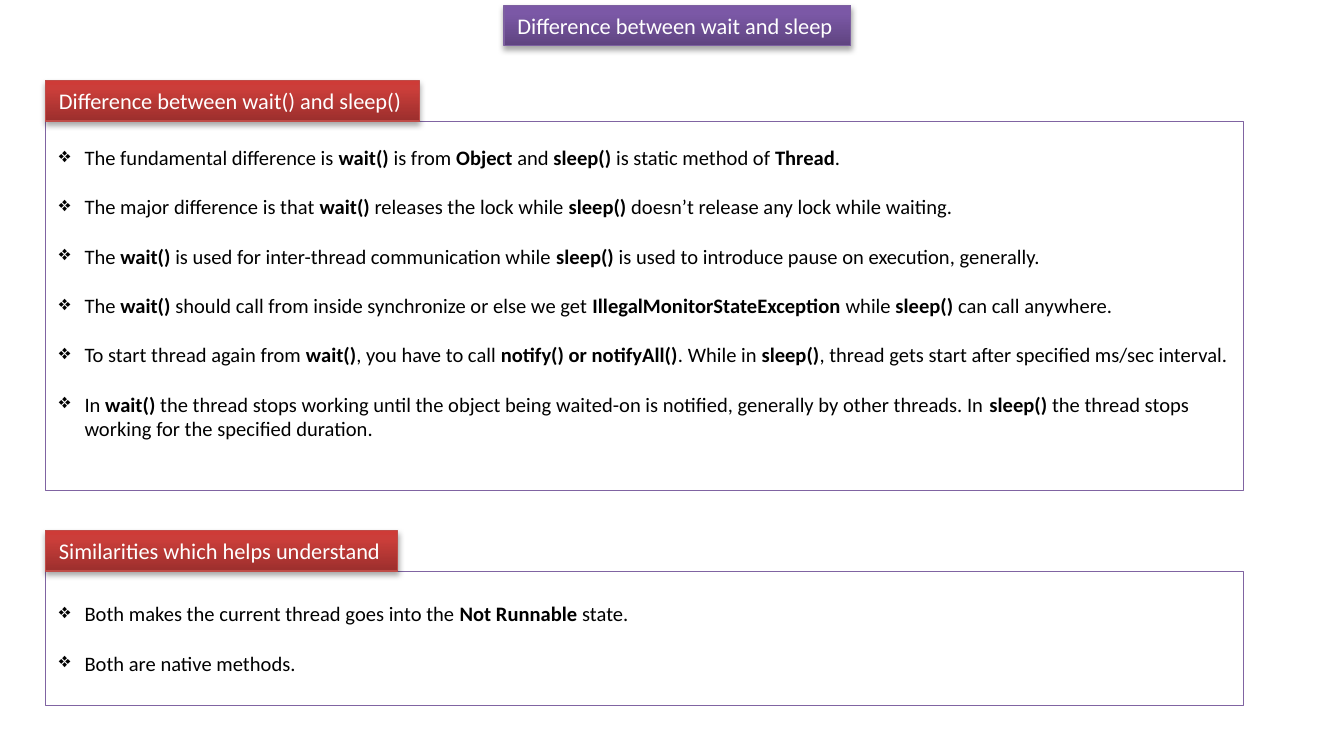
from dataclasses import dataclass

from lxml import etree
from pptx import Presentation
from pptx.dml.color import RGBColor
from pptx.enum.shapes import MSO_SHAPE
from pptx.enum.text import MSO_ANCHOR, MSO_AUTO_SIZE, PP_ALIGN
from pptx.oxml.ns import qn
from pptx.util import Inches, Pt

RECTANGLE = MSO_SHAPE.RECTANGLE
TOP, MIDDLE = MSO_ANCHOR.TOP, MSO_ANCHOR.MIDDLE
LEFT = PP_ALIGN.LEFT
NO_AUTOSIZE = MSO_AUTO_SIZE.NONE


@dataclass(frozen=True)
class LabelStyle:
    stops: tuple[tuple[int, str], ...]  # percent, colour, from the bottom up
    line: str


@dataclass(frozen=True)
class Theme:
    font: str = "Calibri"
    label_size: float = 12
    body_size: float = 11
    paragraph_gap: float = 13.2
    white: str = "FFFFFF"
    black: str = "000000"
    frame: str = "8064A2"
    purple: LabelStyle = LabelStyle(
        ((0, "5F4480"), (80, "7B58A6"), (100, "7C57A8")), "7D60A0")
    red: LabelStyle = LabelStyle(
        ((0, "9C2F2D"), (80, "CB3E3A"), (100, "CE3B37")), "BF4C48")


@dataclass(frozen=True)
class Section:
    heading: str
    heading_width: float
    top: float
    body_height: float
    anchor: MSO_ANCHOR
    top_inset: float
    points: tuple[str, ...]  # ** marks the bold spans


THEME = Theme()
MARGIN, BODY_WIDTH, LABEL_HEIGHT = 0.34, 8.91, 0.3
BULLET_INDENT = 0.19

SECTIONS = (
    Section("Difference between wait() and sleep()", 2.78, 0.6, 2.75, TOP, 0.18, (
        "The fundamental difference is **wait()** is from **Object** and "
        "**sleep() **is static method of **Thread**.",
        "The major difference is that **wait()** releases the lock while "
        "**sleep()** doesn’t release any lock while waiting.",
        "The **wait()** is used for inter-thread communication while "
        "**sleep()** is used to introduce pause on execution, generally.",
        "The **wait()** should call from inside synchronize or else we get "
        "**IllegalMonitorStateException **while **sleep()** can call anywhere.",
        "To start thread again from **wait()**, you have to call "
        "**notify() or notifyAll()**. While in **sleep()**, thread gets start "
        "after specified ms/sec interval.",
        "In **wait()** the thread stops working until the object being waited-on "
        "is notified, generally by other threads. In **sleep()** the thread stops "
        "working for the specified duration.",
    )),
    Section("Similarities which helps understand", 2.62, 3.95, 1, MIDDLE, 0.05, (
        "Both makes the current thread goes into the **Not Runnable** state.",
        "Both are native methods.",
    )),
)


def rgb(value: str) -> RGBColor:
    return RGBColor.from_string(value)


def place(shape, left: float, top: float, width: float, height: float) -> None:
    shape.left, shape.top = Inches(left), Inches(top)
    shape.width, shape.height = Inches(width), Inches(height)


def add_rectangle(page, left: float, top: float, width: float, height: float):
    return page.shapes.add_shape(
        RECTANGLE, Inches(left), Inches(top), Inches(width), Inches(height))


def add_span(para, text: str, size: float, color: str, bold: bool = False) -> None:
    span = para.add_run()
    span.text = text
    span.font.name, span.font.size, span.font.bold = THEME.font, Pt(size), bold
    span.font.color.rgb = rgb(color)


def prepare_frame(shape, anchor: MSO_ANCHOR, top_inset: float = 0.05):
    frame = shape.text_frame
    frame.word_wrap, frame.auto_size = True, NO_AUTOSIZE
    frame.vertical_anchor = anchor
    frame.margin_left = frame.margin_right = Inches(0.1)
    frame.margin_top, frame.margin_bottom = Inches(top_inset), Inches(0.05)
    return frame


def add_color(parent, value: str):
    return etree.SubElement(parent, qn("a:srgbClr"), val=value)


def format_label(shape, text: str, style: LabelStyle) -> None:
    # Vertical gradient with three stops
    shape.fill.gradient()
    shape.fill.gradient_angle = 90
    stop_list = next(shape._element.spPr.iter(qn("a:gsLst")))
    for stop in list(stop_list):
        stop_list.remove(stop)
    for percent, color in style.stops:
        add_color(etree.SubElement(stop_list, qn("a:gs"), pos=str(percent * 1000)), color)
    shape.line.color.rgb = rgb(style.line)
    shape.line.width = Pt(0.75)

    # Soft shadow below
    shape.shadow.inherit = False
    effects = shape._element.spPr.find(qn("a:effectLst"))
    shadow = etree.SubElement(
        effects, qn("a:outerShdw"), blurRad=str(Pt(3.1)), dist=str(Pt(1.8)),
        dir="5400000", rotWithShape="0")
    etree.SubElement(add_color(shadow, THEME.black), qn("a:alpha"), val="35000")

    para = prepare_frame(shape, TOP).paragraphs[0]
    para.alignment = LEFT
    add_span(para, text, THEME.label_size, THEME.white)


def add_point(para, text: str) -> None:
    para.alignment = LEFT
    properties = para._p.get_or_add_pPr()
    properties.set("marL", str(Inches(BULLET_INDENT)))
    properties.set("indent", str(-Inches(BULLET_INDENT)))
    etree.SubElement(properties, qn("a:buChar"), char="❖")
    for index, part in enumerate(text.split("**")):
        if part:
            add_span(para, part, THEME.body_size, THEME.black, index % 2 == 1)


def add_section(page, section: Section) -> None:
    # Framed list
    body = add_rectangle(page, MARGIN, section.top + LABEL_HEIGHT,
                         BODY_WIDTH, section.body_height)
    body.shadow.inherit = False
    body.fill.solid()
    body.fill.fore_color.rgb = rgb(THEME.white)
    body.line.color.rgb = rgb(THEME.frame)
    body.line.width = Pt(0.25)
    frame = prepare_frame(body, section.anchor, section.top_inset)
    for index, point in enumerate(section.points):
        para = frame.add_paragraph() if index else frame.paragraphs[0]
        add_point(para, point)
        if index:
            para.space_before = Pt(THEME.paragraph_gap)

    # Heading tab
    tab = add_rectangle(page, MARGIN, section.top, section.heading_width, LABEL_HEIGHT)
    format_label(tab, section.heading, THEME.red)


def main() -> None:
    deck = Presentation()
    deck.slide_width, deck.slide_height = Inches(10), Inches(5.5)
    page = deck.slides.add_slide(deck.slide_layouts.get_by_name("Title Only"))

    # Title
    title = page.shapes.title
    place(title, 3.75, 0.04, 2.58, LABEL_HEIGHT)
    format_label(title, "Difference between wait and sleep", THEME.purple)

    for section in SECTIONS:
        add_section(page, section)
    deck.save("out.pptx")


if __name__ == "__main__":
    main()
